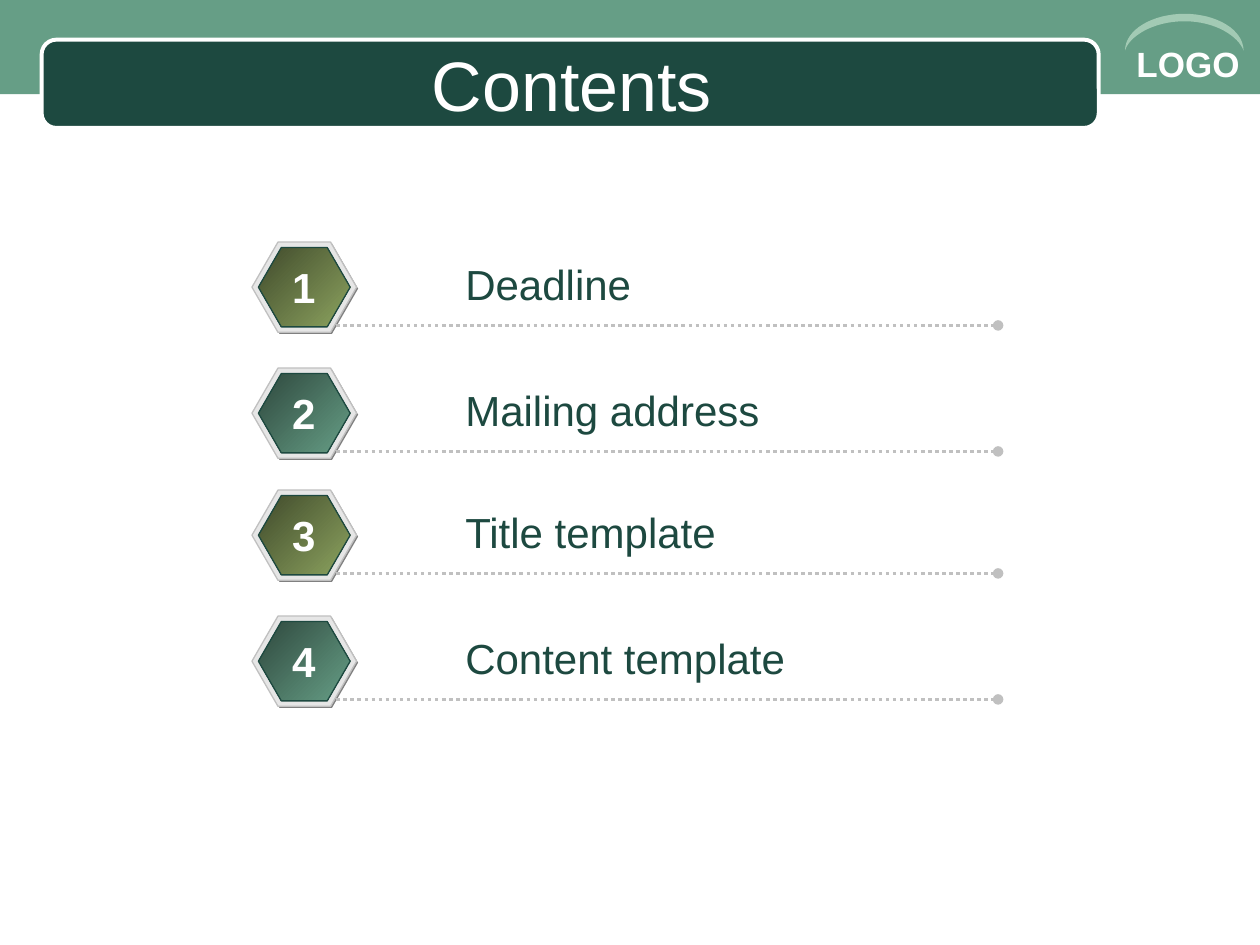
import pptx
import pptx.util
import pptx.dml.color
import pptx.enum.dml
import pptx.enum.shapes
import pptx.enum.text
import pptx.oxml
import pptx.oxml.ns

Cm = pptx.util.Cm
Pt = pptx.util.Pt
RGBColor = pptx.dml.color.RGBColor
Shape = pptx.enum.shapes.MSO_SHAPE
Align = pptx.enum.text.PP_ALIGN
Anchor = pptx.enum.text.MSO_ANCHOR

WHITE = RGBColor(0xFF, 0xFF, 0xFF)
DARK_GREEN = RGBColor(0x1D, 0x49, 0x40)
GREEN = RGBColor(0x66, 0x9E, 0x86)
PALE_GREEN = RGBColor(0xA2, 0xCA, 0xB4)
DEEP_GREEN = RGBColor(0x2F, 0x49, 0x3E)
DEEP_OLIVE = RGBColor(0x41, 0x4B, 0x2C)
OLIVE = RGBColor(0x8C, 0xA3, 0x5F)
SHADE = RGBColor(0x80, 0x80, 0x80)
RIM = RGBColor(0xE6, 0xE6, 0xE6)
SILVER = RGBColor(0xC0, 0xC0, 0xC0)

TOPICS = ["Deadline", "Mailing address", "Title template", "Content template"]
GRADIENTS = [(DEEP_OLIVE, OLIVE), (DEEP_GREEN, GREEN)]
FIRST_ROW = 4.88
ROW_STEP = 2.54
PAIR_STEP = 5.0

ARC_START = (25.07, 1.02)
ARC_CURVES = [
    [(24.97, 0.74), (24.51, 0.43), (23.88, 0.43)],
    [(23.24, 0.43), (22.76, 0.74), (22.68, 1.02)],
    [(22.68, 0.61), (23.22, 0.28), (23.88, 0.28)],
    [(24.54, 0.28), (25.07, 0.61), (25.07, 1.02)],
]


def curve_points(start, curves, steps=16):
    points = []
    for first, second, end in curves:
        for step in range(1, steps + 1):
            t = step / steps
            weights = ((1 - t) ** 3, 3 * t * (1 - t) ** 2, 3 * t * t * (1 - t), t ** 3)
            corners = (start, first, second, end)
            points.append(tuple(
                Cm(sum(weight * corner[axis] for weight, corner in zip(weights, corners)))
                for axis in (0, 1)
            ))
        start = end
    return points


class SlideBuilder:
    font = "Arial"

    def __init__(self, page):
        self.page = page

    def paint(self, shape, fill, line=None, width=0.75):
        shape.shadow.inherit = False
        if isinstance(fill, RGBColor):
            shape.fill.solid()
            shape.fill.fore_color.rgb = fill
        else:
            shape.fill.gradient()
            shape.fill.gradient_angle = 315
            for stop, color in zip(shape.fill.gradient_stops, fill):
                stop.color.rgb = color
        if line is None:
            shape.line.fill.background()
        else:
            shape.line.color.rgb = line
            shape.line.width = Pt(width)

    def shape(self, kind, left, top, width, height, fill, line=None,
              line_width=0.75, adjust=(), parent=None):
        shapes = (parent or self.page).shapes
        shape = shapes.add_shape(kind, Cm(left), Cm(top), Cm(width), Cm(height))
        for index, value in enumerate(adjust):
            shape.adjustments[index] = value
        self.paint(shape, fill, line, line_width)

    def arc(self, start, curves, fill):
        builder = self.page.shapes.build_freeform(Cm(start[0]), Cm(start[1]))
        builder.add_line_segments(curve_points(start, curves), close=True)
        self.paint(builder.convert_to_shape(), fill)

    def text(self, words, left, top, width, height, size, color, bold=False,
             align=Align.LEFT, anchor=Anchor.TOP, wrap=False):
        box = self.page.shapes.add_textbox(Cm(left), Cm(top), Cm(width), Cm(height))
        frame = box.text_frame
        frame.word_wrap = wrap
        frame.vertical_anchor = anchor
        frame.text = words
        para = frame.paragraphs[0]
        para.alignment = align
        for span in para.runs:
            span.font.name = self.font
            span.font.size = Pt(size)
            span.font.bold = bold
            span.font.color.rgb = color

    def badge(self, top, gradient):
        group = self.page.shapes.add_group_shape()
        for left, offset, width, height, fill, line in (
            (5.11, 0.03, 2.11, 1.82, SHADE, None),
            (5.08, 0, 2.11, 1.82, RIM, SILVER),
            (5.21, 0.11, 1.85, 1.6, gradient, DARK_GREEN),
        ):
            self.shape(Shape.HEXAGON, left, top + offset, width, height, fill, line,
                       adjust=(0.289, 1.155), parent=group)

    def dotted_line(self, left, right, top):
        line = self.page.shapes.add_connector(
            pptx.enum.shapes.MSO_CONNECTOR.STRAIGHT, Cm(left), Cm(top), Cm(right), Cm(top))
        line.line.color.rgb = SILVER
        line.line.width = Pt(2)
        line.line.dash_style = pptx.enum.dml.MSO_LINE.ROUND_DOT
        namespace = pptx.oxml.ns.nsdecls("a")
        line.line._get_or_add_ln().append(
            pptx.oxml.parse_xml(f'<a:tailEnd {namespace} type="oval"/>'))
        line._element.spPr.append(pptx.oxml.parse_xml(f"<a:effectLst {namespace}/>"))

    def topic(self, index, words):
        pair, place = divmod(index, 2)
        top = FIRST_ROW + pair * PAIR_STEP + place * ROW_STEP
        self.badge(top, GRADIENTS[place])
        self.dotted_line(6.78, 20.12, top + 1.68)
        self.text(words, 9.13, top + 0.2, 7, 1.27, 24, DARK_GREEN, wrap=True)
        self.text(str(index + 1), 5.64, top + 0.26, 0.97, 1.27, 24, WHITE,
                  bold=True, align=Align.CENTER)


def main():
    deck = pptx.Presentation()
    deck.slide_width = Cm(25.4)
    deck.slide_height = Cm(19.05)
    builder = SlideBuilder(deck.slides.add_slide(deck.slide_layouts[6]))

    builder.shape(Shape.RECTANGLE, 0, 0, 25.4, 1.9, GREEN)
    builder.shape(Shape.ROUNDED_RECTANGLE, 0.84, 0.8, 21.31, 1.78, DARK_GREEN,
                  WHITE, 2.25, adjust=(0.167,))
    builder.text("LOGO", 22.66, 0.74, 2.74, 1.11, 20, WHITE, bold=True, wrap=True)
    builder.arc(ARC_START, ARC_CURVES, PALE_GREEN)
    builder.text("Contents", 1.27, 0.89, 20.52, 1.57, 40, WHITE,
                 align=Align.CENTER, anchor=Anchor.MIDDLE, wrap=True)
    for index, words in enumerate(TOPICS):
        builder.topic(index, words)

    deck.save("out.pptx")


if __name__ == "__main__":
    main()
